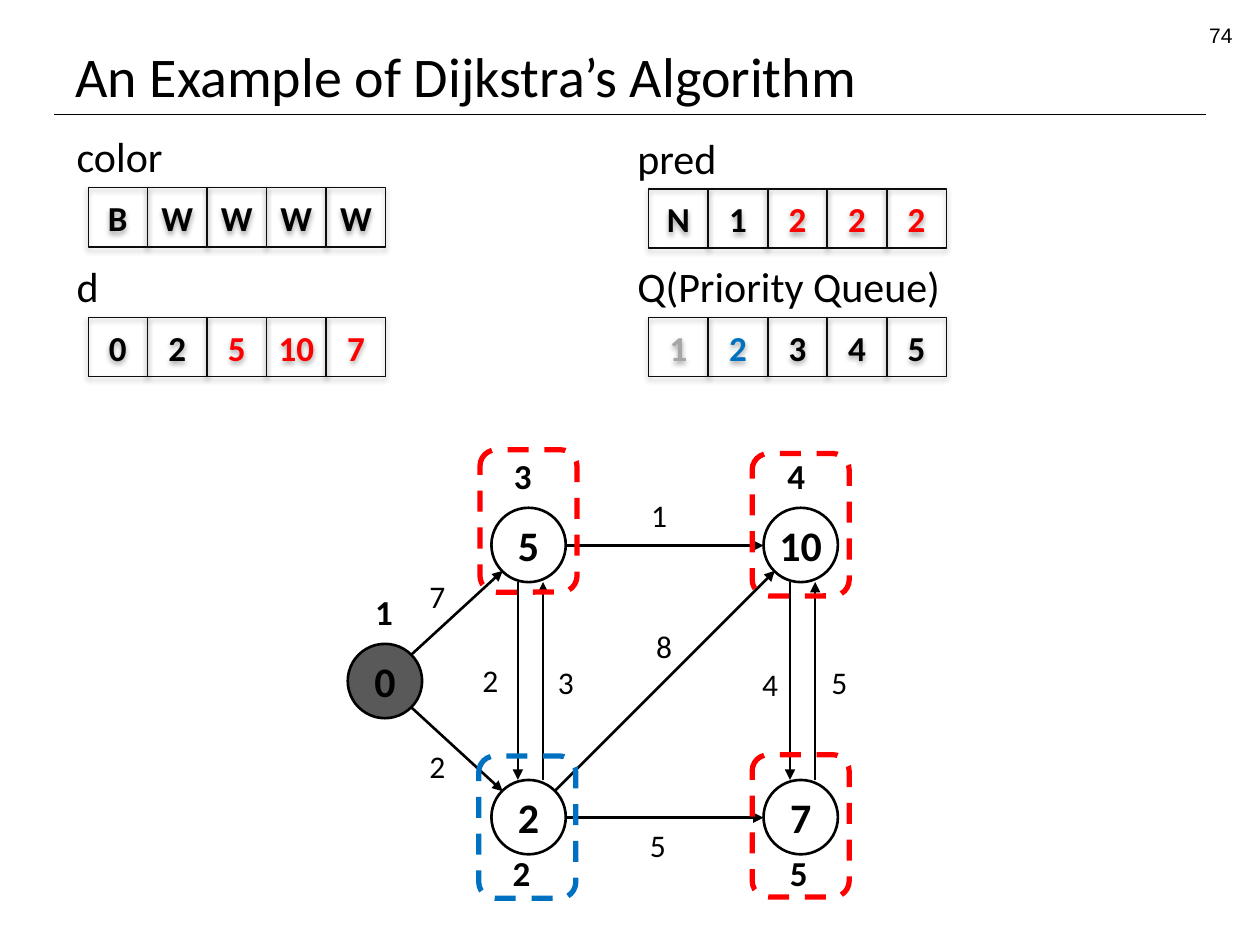
from dataclasses import dataclass

from lxml import etree
from pptx import Presentation
from pptx.dml.color import RGBColor
from pptx.enum.dml import MSO_LINE
from pptx.enum.shapes import MSO_CONNECTOR, MSO_SHAPE
from pptx.enum.text import MSO_ANCHOR, MSO_AUTO_SIZE, PP_ALIGN
from pptx.oxml import parse_xml
from pptx.oxml.ns import nsdecls, qn
from pptx.util import Emu, Pt

RECTANGLE, ROUNDED, OVAL = MSO_SHAPE.RECTANGLE, MSO_SHAPE.ROUNDED_RECTANGLE, MSO_SHAPE.OVAL
STRAIGHT, DASH = MSO_CONNECTOR.STRAIGHT, MSO_LINE.DASH
LEFT, CENTER, RIGHT = PP_ALIGN.LEFT, PP_ALIGN.CENTER, PP_ALIGN.RIGHT
TOP, MIDDLE, BOTTOM = MSO_ANCHOR.TOP, MSO_ANCHOR.MIDDLE, MSO_ANCHOR.BOTTOM
GROW = MSO_AUTO_SIZE.SHAPE_TO_FIT_TEXT
PX = 9144  # EMU in one px, 100 px to the inch


@dataclass(frozen=True)
class Theme:
    font: str = "Calibri"
    number_font: str = "Arial"
    black: str = "000000"
    cell_line: str = "0D0D0D"
    visited: str = "595959"
    red: str = "FF0000"
    blue: str = "0070C0"
    gray: str = "A6A6A6"
    title: int = 32
    large: int = 24
    medium: int = 20
    small: int = 18
    page_number: int = 12


THEME = Theme()
CELL, CELL_PITCH = 47, 47.25
NODE = 59

# Points on a node, measured from its top left corner
PORTS = {
    "east": (59, 30), "west": (0, 30),
    "northeast": (50, 9), "northwest": (9, 9),
    "southeast": (50, 50), "southwest": (9, 50),
    "top left": (21, 0), "top right": (41, 0),
    "bottom left": (21, 59), "bottom right": (41, 59),
}

# Number: place, distance, fill, label offset, frame offset, frame colour
NODES = {
    1: ((0, 155), "0", THEME.visited, (12, -47), None, None),
    2: ((114, 263), "2", None, (7, 52), (-10, -19), THEME.blue),
    3: ((114, 47), "5", None, (8, -47), (-9, -46), THEME.red),
    4: ((330, 47), "10", None, (9, -47), (-9, -43), THEME.red),
    5: ((330, 263), "7", None, (11, 52), (-9, -20), THEME.red),
}

# Start node and port, end node and port, weight, place of the weight
EDGES = [
    (1, "northeast", 3, "southwest", "7", (55, 97)),
    (1, "southeast", 2, "northwest", "2", (55, 232)),
    (3, "east", 4, "west", "1", (231, 33)),
    (4, "bottom left", 5, "top left", "4", (319, 167)),
    (5, "top right", 4, "bottom right", "5", (374, 165)),
    (2, "northeast", 4, "southwest", "8", (235, 137)),
    (2, "east", 5, "west", "5", (230, 295)),
    (3, "bottom left", 2, "top left", "2", (97, 164)),
    (2, "top right", 3, "bottom right", "3", (157, 165)),
]


def px(*lengths):
    return [Emu(round(length * PX)) for length in lengths]


def write(box, text, size=THEME.large, color=THEME.black, bold=False, font=THEME.font,
          align=LEFT, anchor=TOP, wrap=False):
    frame = box.text_frame
    frame.word_wrap = wrap
    frame.vertical_anchor = anchor
    para = frame.paragraphs[0]
    para.alignment = align
    span = para.add_run()
    span.text = text
    span.font.size = Pt(size)
    span.font.name = font
    span.font.bold = bold
    span.font.color.rgb = RGBColor.from_string(color)


def add_label(page, place, text, **text_format):
    box = page.shapes.add_textbox(*px(*place))
    write(box, text, **text_format)
    return box


def add_tag(page, place, text, **text_format):
    add_label(page, place, text, **text_format).text_frame.auto_size = GROW


def add_outline(page, kind, place, color, width, fill=None):
    shape = page.shapes.add_shape(kind, *px(*place))
    shape.shadow.inherit = False
    if fill:
        shape.fill.solid()
        shape.fill.fore_color.rgb = RGBColor.from_string(fill)
    else:
        shape.fill.background()
    shape.line.color.rgb = RGBColor.from_string(color)
    shape.line.width = Pt(width)
    return shape


def add_line(page, start, end, width, arrow=False):
    line = page.shapes.add_connector(STRAIGHT, *px(*start, *end))
    line.line.color.rgb = RGBColor.from_string(THEME.black)
    line.line.width = Pt(width)
    if arrow:
        etree.SubElement(line.line._get_or_add_ln(), qn("a:tailEnd"), type="triangle")
    etree.SubElement(line._element.spPr, qn("a:effectLst"))


def add_soft_shadow(shape):
    effects = shape._element.spPr.find(qn("a:effectLst"))
    effects.append(parse_xml(
        f'<a:outerShdw {nsdecls("a")} blurRad="40000" dist="23000" dir="5400000" '
        f'rotWithShape="0"><a:srgbClr val="{THEME.black}"><a:alpha val="35000"/>'
        '</a:srgbClr></a:outerShdw>'))


def add_header(page, left, top, width):
    add_line(page, (left, top + 78), (left + width, top + 78), 0.75)
    add_label(page, (left + 7, top, 900, 78), "An Example of Dijkstra’s Algorithm",
              size=THEME.title, anchor=BOTTOM, wrap=True)
    add_label(page, (left + 712, top, 233, 28), "74", size=THEME.page_number,
              font=THEME.number_font, align=RIGHT, wrap=True)


def add_array(page, left, top, name, name_width, values, colors):
    add_tag(page, (left, top, name_width, 50), name)
    for index, (value, color) in enumerate(zip(values, colors)):
        place = (left + 19 + index * CELL_PITCH, top + 50, CELL, CELL)
        cell = add_outline(page, RECTANGLE, place, THEME.cell_line, 0.75)
        add_soft_shadow(cell)
        write(cell, value, size=THEME.medium, color=color, bold=True,
              align=CENTER, anchor=MIDDLE)


def add_graph(page, left, top):
    def port(number, name):
        (x, y), (across, down) = NODES[number][0], PORTS[name]
        return left + x + across, top + y + down

    # Nodes with their numbers
    for number, ((x, y), distance, fill, (across, down), *_) in NODES.items():
        circle = add_outline(page, OVAL, (left + x, top + y, NODE, NODE),
                             THEME.black, 1.5, fill)
        write(circle, distance, bold=True, align=CENTER, anchor=MIDDLE)
        add_tag(page, (left + x + across, top + y + down, 34, 44), str(number),
                size=THEME.medium, bold=True)

    # Weighted edges
    for start, leave, end, arrive, weight, (x, y) in EDGES:
        add_line(page, port(start, leave), port(end, arrive), 1.5, arrow=True)
        add_tag(page, (left + x, top + y, 33, 40), weight, size=THEME.small)

    # Dashed frames around the active nodes
    for (x, y), *_, offset, color in NODES.values():
        if offset:
            place = (left + x + offset[0], top + y + offset[1], 77, 113)
            frame = add_outline(page, ROUNDED, place, color, 3)
            frame.line.dash_style = DASH


def main():
    deck = Presentation()
    deck.slide_width, deck.slide_height = px(1000, 750)
    page = deck.slides.add_slide(deck.slide_layouts[6])
    black, red = THEME.black, THEME.red

    add_header(page, 43, 13, 914)
    add_array(page, 51, 99, "color", 89, "BWWWW", [black] * 5)
    add_array(page, 51, 202, "d", 38, ["0", "2", "5", "10", "7"], [black] * 2 + [red] * 3)
    add_array(page, 496, 100, "pred", 84, "N1222", [black] * 2 + [red] * 3)
    add_array(page, 496, 202, "Q(Priority Queue)", 263, "12345",
              [THEME.gray, THEME.blue] + [black] * 3)
    add_graph(page, 276, 356)

    deck.save("out.pptx")


if __name__ == "__main__":
    main()
